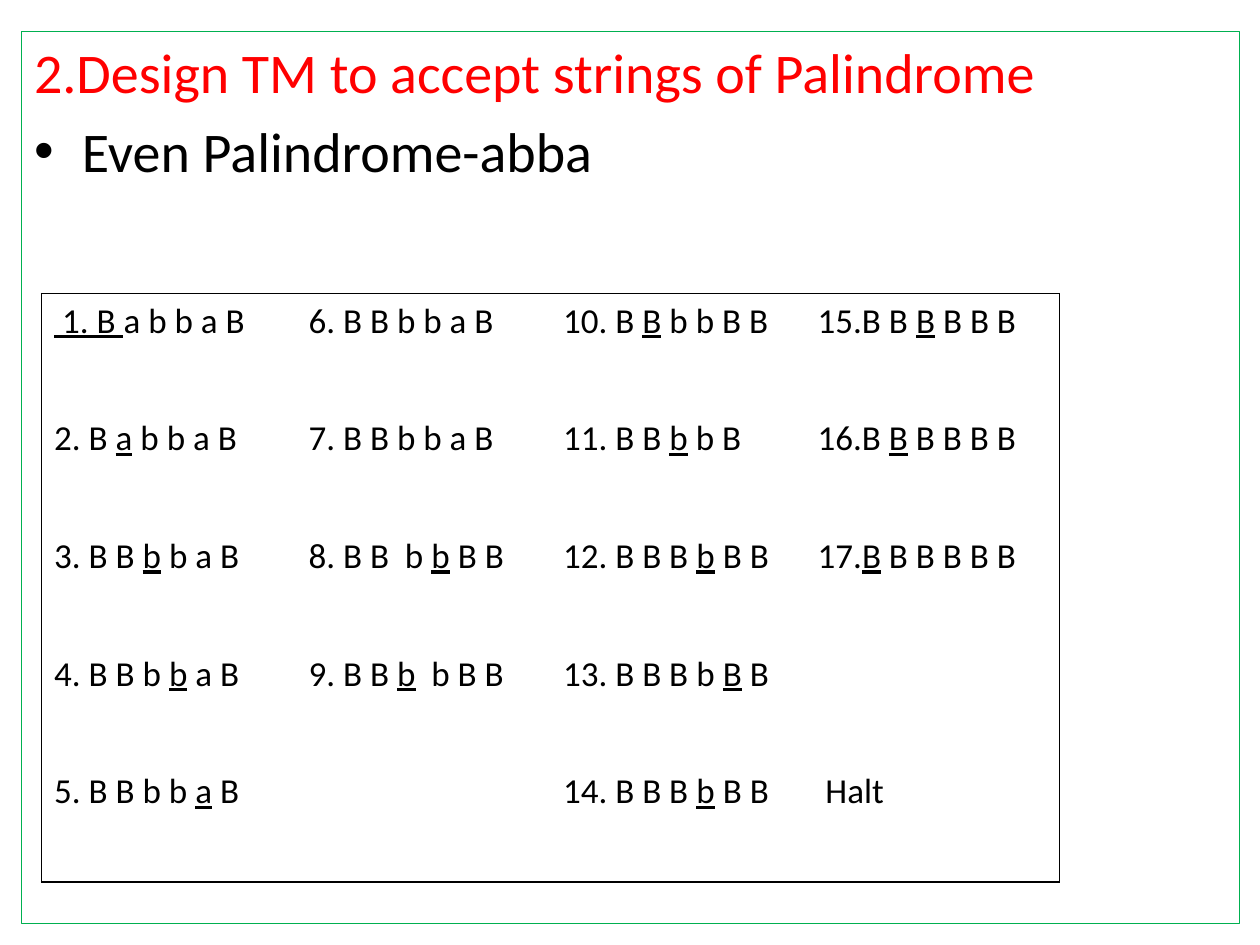
import dataclasses

import lxml.etree
import pptx
import pptx.dml.color
import pptx.oxml.ns
import pptx.util
from pptx.util import Inches


@dataclasses.dataclass(frozen=True)
class Theme:
    font: str = "Calibri"
    heading: str = "FF0000"
    text: str = "000000"
    frame: str = "00B050"
    body_size: int = 32
    cell_size: int = 20
    frame_width: float = 0.75
    border_width: float = 1


THEME = Theme()
UNDERLINE_MARK = "_"
HEADING = "2.Design TM to accept strings of Palindrome"
EXAMPLE = "Even Palindrome-abba"
STEPS = [
    ["_ 1. B _a b b a B", "6. B B b b a B", "10. B _B_ b b B B", "15.B B _B_ B B B"],
    ["2. B _a_ b b a B", "7. B B b b a B", "11. B B _b_ b B", "16.B _B_ B B B B"],
    ["3. B B _b_ b a B", "8. B B  b _b_ B B", "12. B B B _b_ B B", "17._B_ B B B B B"],
    ["4. B B b _b_ a B", "9. B B _b_  b B B", "13. B B B b _B_ B", ""],
    ["5. B B b b _a_ B", "", "14. B B B _b_ B B", " Halt"],
]


def rgb(color):
    return pptx.dml.color.RGBColor.from_string(color)


def style_font(font, size, color):
    font.name = THEME.font
    font.size = pptx.util.Pt(size)
    font.color.rgb = rgb(color)


def set_bullet(para, char, indent):
    properties = para._p.get_or_add_pPr()
    properties.set("marL", str(indent))
    properties.set("indent", str(-indent))
    tag = "a:buChar" if char else "a:buNone"
    bullet = lxml.etree.SubElement(properties, pptx.oxml.ns.qn(tag))
    if char:
        bullet.set("char", char)


def fill_body(body, left, top, width, height):
    body.left, body.top, body.width, body.height = left, top, width, height
    body.line.color.rgb = rgb(THEME.frame)
    body.line.width = pptx.util.Pt(THEME.frame_width)
    frame = body.text_frame
    frame.text = f"{HEADING}\n{EXAMPLE}"
    heading, example = frame.paragraphs
    set_bullet(heading, None, 0)
    set_bullet(example, "•", Inches(0.38))
    heading.space_before = pptx.util.Pt(0)
    for para, color in ((heading, THEME.heading), (example, THEME.text)):
        style_font(para.runs[0].font, THEME.body_size, color)


def set_borders(cell, visible_sides):
    properties = cell._tc.get_or_add_tcPr()
    for side in "LRTB":
        line = lxml.etree.SubElement(properties, pptx.oxml.ns.qn(f"a:ln{side}"))
        line.set("w", str(pptx.util.Pt(THEME.border_width)))
        if side in visible_sides:
            fill = lxml.etree.SubElement(line, pptx.oxml.ns.qn("a:solidFill"))
            color = lxml.etree.SubElement(fill, pptx.oxml.ns.qn("a:srgbClr"))
            color.set("val", THEME.text)
        else:
            lxml.etree.SubElement(line, pptx.oxml.ns.qn("a:noFill"))


def write_step(cell, step):
    para = cell.text_frame.paragraphs[0]
    for index, part in enumerate(step.split(UNDERLINE_MARK)):
        if part:
            span = para.add_run()
            span.text = part
            style_font(span.font, THEME.cell_size, THEME.text)
            span.font.underline = index % 2 == 1


def add_steps(page, left, top, width, height):
    row_count, column_count = len(STEPS), len(STEPS[0])
    table = page.shapes.add_table(
        row_count, column_count, left, top, width, height
    ).table
    table.first_row = False
    table.horz_banding = False
    for row, steps in enumerate(STEPS):
        for column, step in enumerate(steps):
            cell = table.cell(row, column)
            edges = {
                "L": column == 0,
                "R": column == column_count - 1,
                "T": row == 0,
                "B": row == row_count - 1,
            }
            set_borders(cell, [side for side, outer in edges.items() if outer])
            cell.fill.background()
            write_step(cell, step)


def main():
    deck = pptx.Presentation()
    deck.slide_width, deck.slide_height = Inches(10), Inches(7.5)
    page = deck.slides.add_slide(deck.slide_layouts[1])
    title = page.shapes.title
    title.element.getparent().remove(title.element)
    fill_body(page.placeholders[1], Inches(0.17), Inches(0.25), Inches(9.67), Inches(7.08))
    add_steps(page, Inches(0.33), Inches(2.33), Inches(8.08), Inches(4.67))
    deck.save("out.pptx")


if __name__ == "__main__":
    main()
